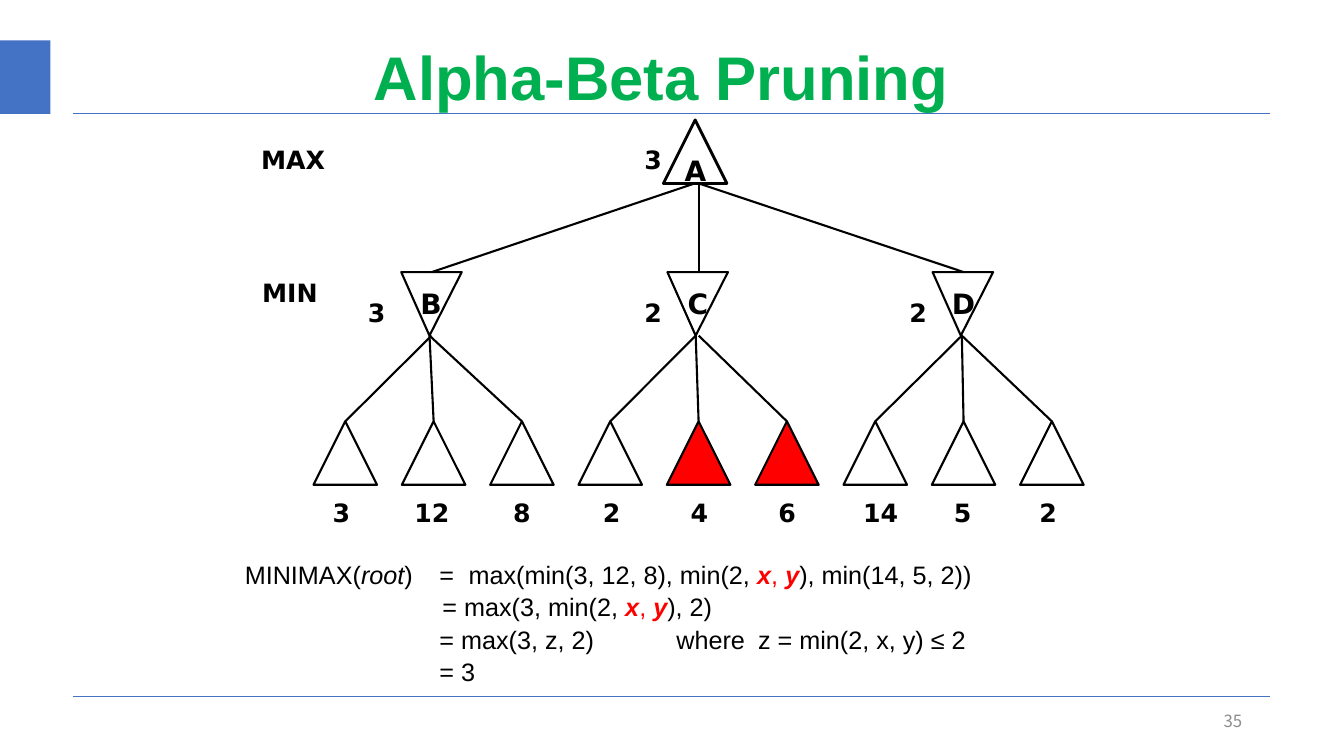
from lxml import etree
from pptx import Presentation
from pptx.dml.color import RGBColor
from pptx.enum.shapes import MSO_CONNECTOR, MSO_SHAPE
from pptx.enum.text import MSO_ANCHOR, PP_ALIGN
from pptx.oxml.ns import qn
from pptx.util import Inches, Pt

RECT, STRAIGHT = MSO_SHAPE.RECTANGLE, MSO_CONNECTOR.STRAIGHT
TOP, MIDDLE = MSO_ANCHOR.TOP, MSO_ANCHOR.MIDDLE
LEFT, CENTER, RIGHT = PP_ALIGN.LEFT, PP_ALIGN.CENTER, PP_ALIGN.RIGHT
BLUE, GREEN, RED, BLACK, GRAY = "4472C4", "00B050", "FF0000", "000000", "8C8C8C"
LABEL_FONT = "DejaVu Sans"

# Content
TITLE = "Alpha-Beta Pruning"
PAGE = "35"
LEVELS = [("MAX", 2.59, 1.41), ("MIN", 2.6, 2.73)]
ROOT = ("A", 6.79, "3", 6.39)  # name, name x, value, value x
# name, name x, value, value x, triangle left, x where each edge starts
MIN_NODES = [
    ("B", 4.17, "3", 3.65, 3.98, (4.28, 4.26, 4.26)),
    ("C", 6.82, "2", 6.39, 6.62, (6.9, 6.9, 6.93)),
    ("D", 9.44, "2", 9.02, 9.25, (9.54, 9.54, 9.54)),
]
ROOT_EDGES = [(6.89, 4.28), (6.93, 6.93), (6.93, 9.56)]
# value, value x, pruned
LEAVES = [
    ("3", 3.3, False), ("12", 4.11, False), ("8", 5.09, False),
    ("2", 5.98, False), ("4", 6.85, True), ("6", 7.72, True),
    ("14", 8.56, False), ("5", 9.46, False), ("2", 10.31, False),
]
# tab stops, then runs as (text, style): i italic, b bold, r red
FORMULA = [
    ((1.93, 2.22), [("MINIMAX(", ""), ("root", "i"),
                    (")\t=\tmax(min(3, 12, 8), min(2, ", ""), ("x", "bir"),
                    (", ", "r"), ("y", "bir"), ("), min(14, 5, 2))", "")]),
    ((1.96,), [("\t= max(3, min(2, ", ""), ("x", "bir"), (", ", "r"),
               ("y", "bir"), ("), 2)", "")]),
    ((1.93, 4.28, 5.09), [("\t= max(3, z, 2)\twhere\tz = min(2, x, y) ≤ 2", "")]),
    ((1.93,), [("\t= 3", "")]),
]

# Tree geometry
ROOT_TOP, MIN_TOP, LEAF_TOP = 1.19, 2.7, 4.18
ROOT_LEFT, LEAF_LEFT, LEAF_STEP = 6.58, 3.11, 0.876
SIDE, MIN_WIDTH, MIN_APEX = 0.63, 0.6, 0.28

prs = Presentation()
prs.slide_width, prs.slide_height = Inches(13.33), Inches(7.5)
slide = prs.slides.add_slide(prs.slide_layouts[6])
shapes = slide.shapes


def color(value):
    return RGBColor.from_string(value)


def style_run(r, size, font, fill, bold=False, italic=False):
    r.font.size, r.font.name = Pt(size), font
    r.font.bold, r.font.italic = bold, italic
    r.font.color.rgb = color(fill)


def add_box(x, y, w, h, anchor=TOP, inset=True, wrap=True):
    tf = shapes.add_textbox(Inches(x), Inches(y), Inches(w), Inches(h)).text_frame
    tf.word_wrap, tf.vertical_anchor = wrap, anchor
    if not inset:
        tf.margin_left = tf.margin_right = tf.margin_top = tf.margin_bottom = 0
    return tf


def add_text(text, x, y, w, h, size, font, fill, align, bold=False):
    tf = add_box(x, y, w, h, MIDDLE)
    p = tf.paragraphs[0]
    p.text, p.alignment = text, align
    style_run(p.runs[0], size, font, fill, bold)


def add_label(text, x, y, size=18):
    tf = add_box(x, y, 0.24 * len(text), size * 0.018, inset=False, wrap=False)
    p = tf.paragraphs[0]
    p.text, p.alignment, p.line_spacing = text, LEFT, 1.07
    style_run(p.runs[0], size, LABEL_FONT, BLACK, bold=True)


def add_line(x1, y1, x2, y2, fill=BLACK, width=1.5):
    line = shapes.add_connector(STRAIGHT, Inches(x1), Inches(y1), Inches(x2), Inches(y2))
    line.line.color.rgb, line.line.width = color(fill), Pt(width)
    etree.SubElement(line._element.spPr, qn("a:effectLst"))


def add_triangle(points, width=1.5, fill=None):
    corners = [(Inches(x), Inches(y)) for x, y in points]
    builder = shapes.build_freeform(*corners[0], scale=1.0)
    builder.add_line_segments(corners[1:], close=True)
    sp = builder.convert_to_shape()
    sp.shadow.inherit = False
    sp.line.color.rgb, sp.line.width = color(BLACK), Pt(width)
    if fill:
        sp.fill.solid()
        sp.fill.fore_color.rgb = color(fill)
    else:
        sp.fill.background()


def add_up_triangle(x, y, width=1.5, fill=None):
    add_triangle([(x, y + SIDE), (x + SIDE / 2, y), (x + SIDE, y + SIDE)], width, fill)


# Frame, title and page number
add_line(0.72, 6.91, 12.6, 6.91, BLUE, 0.5)
bar = shapes.add_shape(RECT, 0, Inches(0.4), Inches(0.5), Inches(0.73))
bar.shadow.inherit = False
bar.fill.solid()
bar.fill.fore_color.rgb = color(BLUE)
bar.line.fill.background()
add_line(0.72, 1.12, 12.6, 1.12, BLUE, 0.5)
add_text(TITLE, 0.81, 0.33, 11.5, 0.85, 44, "Arial", GREEN, CENTER, bold=True)
add_text(PAGE, 9.42, 6.95, 3, 0.4, 12, "Noto Sans CJK SC", GRAY, RIGHT)

# Root
name, name_x, value, value_x = ROOT
add_up_triangle(ROOT_LEFT, ROOT_TOP, width=2)
add_label(name, name_x, 1.5, 20)
add_label(value, value_x, 1.41)
for start, end in ROOT_EDGES:
    add_line(start, ROOT_TOP + SIDE, end, MIN_TOP)

# MIN nodes with the edges to their leaves
for n, (name, name_x, value, value_x, left, starts) in enumerate(MIN_NODES):
    bottom = MIN_TOP + SIDE
    add_triangle([(left + MIN_APEX, bottom), (left + MIN_WIDTH, MIN_TOP), (left, MIN_TOP)])
    add_label(name, name_x, 2.82, 20)
    add_label(value, value_x, 2.93)
    for k, start in enumerate(starts):
        leaf = n * len(starts) + k
        add_line(start, bottom, LEAF_LEFT + leaf * LEAF_STEP + SIDE / 2, LEAF_TOP)

# Leaves
for i, (value, value_x, pruned) in enumerate(LEAVES):
    add_up_triangle(LEAF_LEFT + i * LEAF_STEP, LEAF_TOP, fill=RED if pruned else None)
    add_label(value, value_x, 4.91)

# Level names
for level, x, y in LEVELS:
    add_label(level, x, y)

# Minimax derivation
tf = add_box(2.33, 5.48, 9.51, 1.36)
for i, (stops, runs) in enumerate(FORMULA):
    p = tf.paragraphs[0] if i == 0 else tf.add_paragraph()
    p.line_spacing, p.space_after = 1.06, Pt(0.3)
    tabs = etree.SubElement(p._p.get_or_add_pPr(), qn("a:tabLst"))
    for stop in stops:
        etree.SubElement(tabs, qn("a:tab"), pos=str(Inches(stop)), algn="l")
    for text, style in runs:
        r = p.add_run()
        r.text = text
        style_run(r, 18, "Arial", RED if "r" in style else BLACK, "b" in style, "i" in style)

prs.save("out.pptx")
